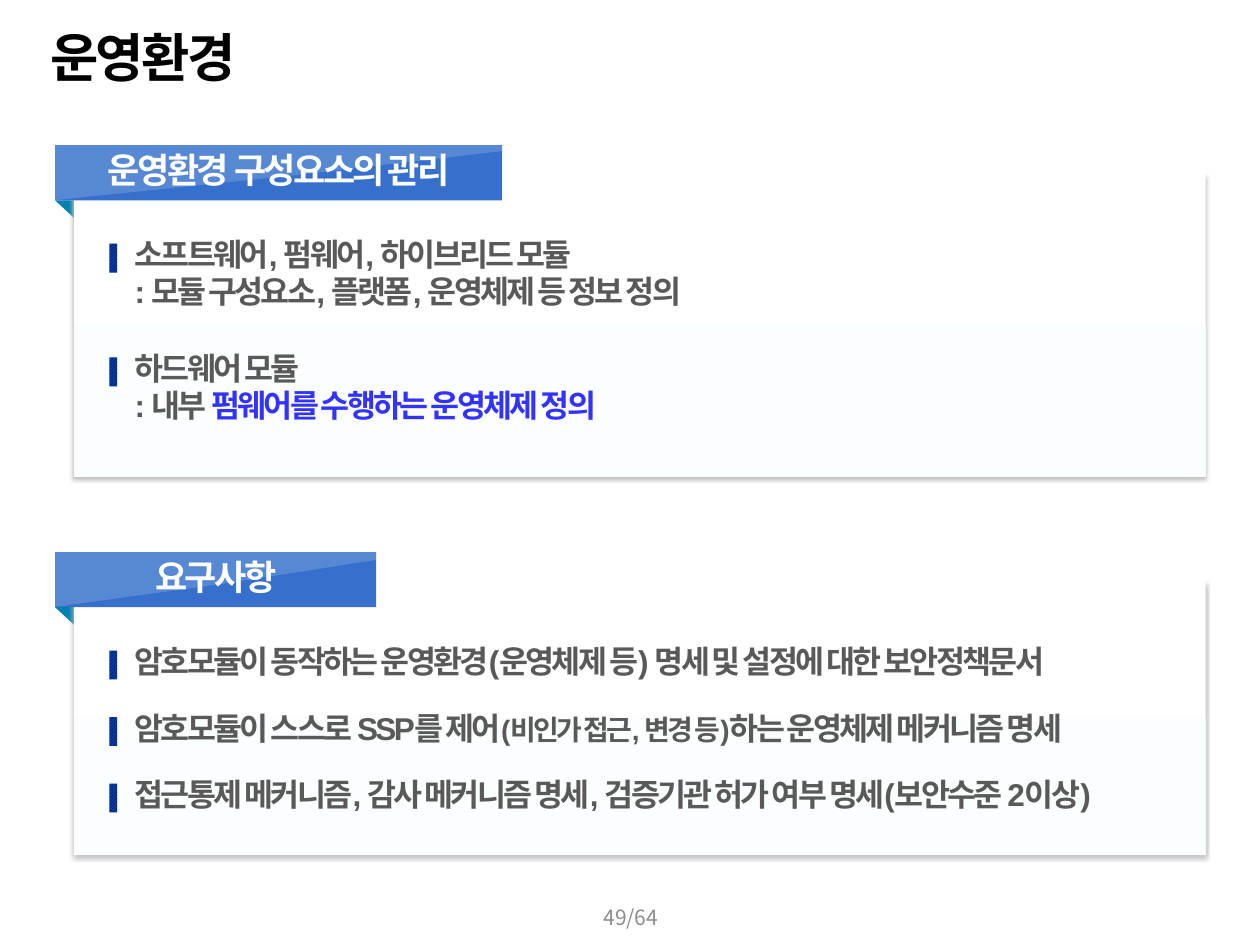
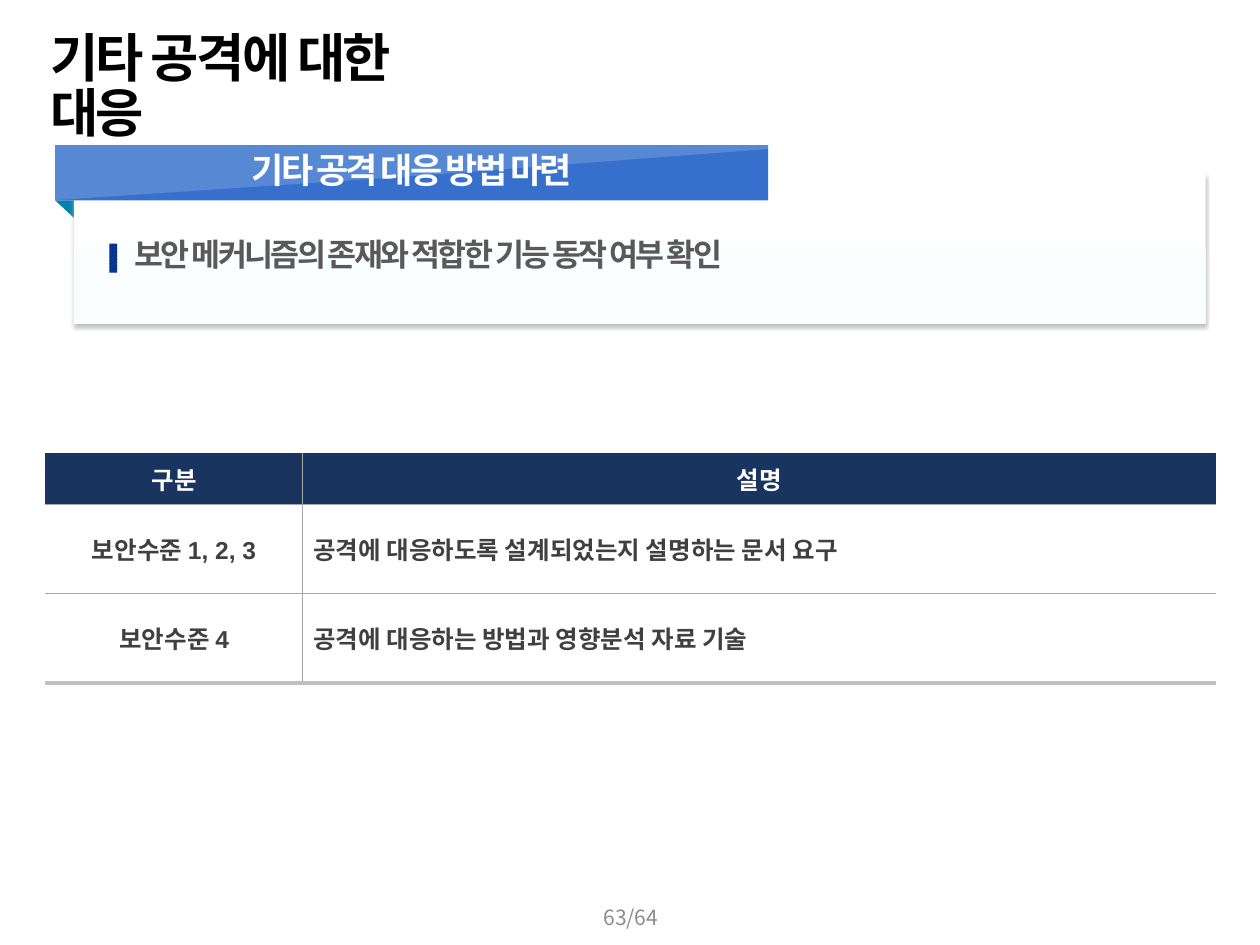
from lxml.etree import SubElement
from pptx import Presentation
from pptx.dml.color import RGBColor
from pptx.enum.dml import MSO_PATTERN
from pptx.enum.shapes import MSO_SHAPE as Shape
from pptx.enum.text import MSO_ANCHOR as Anchor, PP_ALIGN as Align
from pptx.oxml.ns import qn
from pptx.util import Pt

WHITE = RGBColor(0xFF, 0xFF, 0xFF)
BLACK = RGBColor(0x00, 0x00, 0x00)
CARD_TINT = RGBColor(0xFB, 0xFE, 0xFF)
BAND_BLUE = RGBColor(0x36, 0x70, 0xCC)
FOLD_TEAL = RGBColor(0x00, 0x82, 0xB0)
MARKER_LIGHT = RGBColor(0x2E, 0x64, 0xB4)
MARKER_DARK = RGBColor(0x00, 0x2D, 0x89)
BODY_GRAY = RGBColor(0x59, 0x59, 0x59)
EMPHASIS_BLUE = RGBColor(0x33, 0x33, 0xFF)
PAGE_GRAY = RGBColor(0x8C, 0x8C, 0x8C)
TABLE_NAVY = RGBColor(0x19, 0x34, 0x5F)
TABLE_TEXT = RGBColor(0x40, 0x40, 0x40)
RULE_GRAY = RGBColor(0xA6, 0xA6, 0xA6)
SHADOW_GRAY = RGBColor(0xBF, 0xBF, 0xBF)

LATIN = "Arial"
KOREAN = "Noto Sans CJK KR"
LINE_SPACING = 0.87

# A run is (text, changes to the style); a bullet is a list of paragraphs of runs.
SLIDES = [
    {
        "title": "운영환경",
        "page": "49/64",
        "sections": [
            {
                "heading": [("운영환경 ", {}), ("구성요소의 관리", {"font": KOREAN})],
                "top": 83, "band_width": 255.5, "card_height": 173.5, "pitch": 65,
                "bullets": [
                    [[("소프트웨어, 펌웨어, 하이브리드 모듈", {})],
                     [(": 모듈 구성요소, 플랫폼, 운영체제 등 정보 정의", {})]],
                    [[("하드웨어 모듈", {})],
                     [(": 내부 ", {}),
                      ("펌웨어를 수행하는 운영체제 정의", {"color": EMPHASIS_BLUE})]],
                ],
            },
            {
                "heading": [("요구사항", {})],
                "top": 315.5, "band_width": 183.5, "card_height": 157, "pitch": 38,
                "bullets": [
                    [[("암호모듈이 동작하는 운영환경(운영체제 등) 명세 및 설정에 대한 보안정책문서", {})]],
                    [[("암호모듈이 스스로 SSP를 제어", {}),
                      ("(비인가 접근, 변경 등)", {"size": 16}),
                      ("하는 운영체제 메커니즘 명세", {})]],
                    [[("접근통제 메커니즘, 감사 메커니즘 명세, 검증기관 허가 여부 명세(보안수준 2이상)", {})]],
                ],
            },
        ],
    },
    {
        "title": "기타 공격에 대한 대응",
        "page": "63/64",
        "sections": [
            {
                "heading": [("기타 공격 대응 방법 마련", {})],
                "top": 83, "band_width": 407.5, "card_height": 86, "pitch": 38,
                "bullets": [
                    [[("보안 메커니즘의 존재와 적합한 기능 동작 여부 확인", {"font": KOREAN})]],
                ],
            },
        ],
        "table": [
            ("구분", "설명"),
            ("보안수준 1, 2, 3", "공격에 대응하도록 설계되었는지 설명하는 문서 요구"),
            ("보안수준 4", "공격에 대응하는 방법과 영향분석 자료 기술"),
        ],
    },
]

TITLE_STYLE = {"size": 30, "color": BLACK, "bold": True, "spacing": -150}
HEADING_STYLE = {"size": 20, "color": WHITE, "bold": True, "spacing": -150}
BODY_STYLE = {"size": 18, "color": BODY_GRAY, "bold": True, "spacing": -150}
PAGE_STYLE = {"size": 12, "color": PAGE_GRAY, "font": KOREAN}
HEADER_STYLE = {"size": 14, "color": WHITE, "bold": True, "font": KOREAN}
CELL_STYLE = {"size": 14, "color": TABLE_TEXT, "bold": True}

BAND_LEFT, BAND_HEIGHT = 31.5, 31.5
CARD_LEFT, CARD_WIDTH, CARD_DROP = 42, 647, 16
BULLET_LEFT, BULLET_WIDTH, BULLET_DROP = 62.5, 626, 54.5
COLUMN_WIDTHS = (147, 522)
ROW_HEIGHTS = (29.5, 51, 51)


def box(*lengths):
    return [Pt(length) for length in lengths]


def add_run(paragraph, text, size, color, bold=False, font=LATIN, spacing=0):
    run = paragraph.add_run()
    run.text = text
    run.font.size = Pt(size)
    run.font.bold = bold
    run.font.color.rgb = color
    run.font.name = font
    properties = run.font._element
    SubElement(properties, qn("a:ea")).set("typeface", KOREAN)
    if spacing:
        properties.set("spc", str(spacing))


def add_text(slide, place, paragraphs, style, margins=(0, 0, 0, 0),
             align=Align.LEFT, anchor=Anchor.TOP, wrap=True):
    frame = slide.shapes.add_textbox(*box(*place)).text_frame
    frame.word_wrap = wrap
    frame.vertical_anchor = anchor
    (frame.margin_left, frame.margin_top,
     frame.margin_right, frame.margin_bottom) = box(*margins)
    for index, runs in enumerate(paragraphs):
        paragraph = frame.add_paragraph() if index else frame.paragraphs[0]
        paragraph.alignment = align
        paragraph.line_spacing = LINE_SPACING
        if index:
            paragraph.space_before = Pt(2)
        for text, changes in runs:
            add_run(paragraph, text, **{**style, **changes})


def add_plain_shape(slide, kind, place, color=None):
    """Add a preset shape without line or shadow."""
    shape = slide.shapes.add_shape(kind, *box(*place))
    shape.shadow.inherit = False
    shape.line.fill.background()
    if color is not None:
        shape.fill.solid()
        shape.fill.fore_color.rgb = color
    return shape


def add_card(slide, top, height):
    card = add_plain_shape(slide, Shape.RECTANGLE, (CARD_LEFT, top, CARD_WIDTH, height))
    card.fill.gradient()
    card.fill.gradient_angle = 270
    for stop, color in zip(card.fill.gradient_stops, (WHITE, CARD_TINT)):
        stop.color.rgb = color
    effects = card._element.spPr.find(qn("a:effectLst"))
    shadow = SubElement(effects, qn("a:outerShdw"), blurRad=str(Pt(2)),
                        dist=str(Pt(2)), dir="5400000", algn="t", rotWithShape="0")
    SubElement(shadow, qn("a:srgbClr"), val=str(SHADOW_GRAY))


def add_gloss(slide, top, band_width):
    """Lay a translucent white wedge over the upper left of a band."""
    left, width = BAND_LEFT - 1.5, band_width + 30
    corners = [(width, 0), (width * 0.46, 18), (0, BAND_HEIGHT)]
    builder = slide.shapes.build_freeform(Pt(left), Pt(top), scale=1.0)
    builder.add_line_segments([box(left + x, top + y) for x, y in corners], close=True)
    gloss = builder.convert_to_shape()
    gloss.shadow.inherit = False
    gloss.line.fill.background()
    gloss.fill.solid()
    gloss.fill.fore_color.rgb = WHITE
    color = gloss._element.spPr.find(qn("a:solidFill"))[0]
    SubElement(color, qn("a:alpha"), val="17000")


def add_bullet(slide, top, paragraphs):
    height = 24 * len(paragraphs) - 2
    add_text(slide, (BULLET_LEFT, top, BULLET_WIDTH, height), paragraphs, BODY_STYLE,
             margins=(14.4, 0, 3, 0))
    marker = add_plain_shape(slide, Shape.RECTANGLE, (BULLET_LEFT, top + 1.8, 4.5, 16.5))
    marker.fill.patterned()
    marker.fill.pattern = MSO_PATTERN.LIGHT_UPWARD_DIAGONAL
    marker.fill.fore_color.rgb = MARKER_LIGHT
    marker.fill.back_color.rgb = MARKER_DARK


def add_section(slide, heading, top, band_width, card_height, pitch, bullets):
    band = (BAND_LEFT, top, band_width, BAND_HEIGHT)
    fold = add_plain_shape(slide, Shape.RIGHT_TRIANGLE,
                           (BAND_LEFT, top + BAND_HEIGHT, 21, 19.5), FOLD_TEAL)
    fold.rotation = 180
    add_card(slide, top + CARD_DROP, card_height)
    add_plain_shape(slide, Shape.RECTANGLE, band, BAND_BLUE)
    add_gloss(slide, top, band_width)
    add_text(slide, band, [heading], HEADING_STYLE,
             align=Align.CENTER, anchor=Anchor.MIDDLE, wrap=False)
    for index, paragraphs in enumerate(bullets):
        add_bullet(slide, top + BULLET_DROP + index * pitch, paragraphs)


def set_borders(cell, borders):
    """Set the four sides; borders maps a side to (colour, width)."""
    properties = cell._tc.get_or_add_tcPr()
    for index, side in enumerate(("lnL", "lnR", "lnT", "lnB")):
        color, width = borders.get(side, (None, 0))
        line = properties.makeelement(qn("a:" + side), {"w": str(Pt(width))})
        properties.insert(index, line)
        if color is None:
            SubElement(line, qn("a:noFill"))
        else:
            fill = SubElement(line, qn("a:solidFill"))
            SubElement(fill, qn("a:srgbClr"), val=str(color))


def add_level_table(slide, rows):
    place = box(26, 258.75, sum(COLUMN_WIDTHS), sum(ROW_HEIGHTS))
    table = slide.shapes.add_table(len(rows), len(COLUMN_WIDTHS), *place).table
    table.horz_banding = False
    for column, width in zip(table.columns, COLUMN_WIDTHS):
        column.width = Pt(width)
    thin, thick = (RULE_GRAY, 0.75), (SHADOW_GRAY, 3)
    for row_index, texts in enumerate(rows):
        table.rows[row_index].height = Pt(ROW_HEIGHTS[row_index])
        is_header = row_index == 0
        for column_index, text in enumerate(texts):
            cell = table.cell(row_index, column_index)
            is_description = column_index == 1 and not is_header
            cell.fill.solid()
            cell.fill.fore_color.rgb = TABLE_NAVY if is_header else WHITE
            cell.vertical_anchor = Anchor.MIDDLE
            cell.margin_left = Pt(6 if is_description else 3)
            cell.margin_right = Pt(3)
            cell.margin_top = cell.margin_bottom = Pt(1.5)
            paragraph = cell.text_frame.paragraphs[0]
            paragraph.alignment = Align.LEFT if is_description else Align.CENTER
            add_run(paragraph, text, **(HEADER_STYLE if is_header else CELL_STYLE))
            borders = {"lnB": thick if row_index == len(rows) - 1 else thin}
            borders["lnL" if column_index else "lnR"] = thin
            if not is_header:
                borders["lnT"] = thin
            set_borders(cell, borders)


def add_slide(presentation, content):
    slide = presentation.slides.add_slide(presentation.slide_layouts[6])
    add_text(slide, (17.25, 15.75, 226, 41), [[(content["title"], {})]], TITLE_STYLE,
             margins=(11.5, 3.6, 7.2, 3.6), wrap=False)
    for section in content["sections"]:
        add_section(slide, **section)
    if "table" in content:
        add_level_table(slide, content["table"])
    add_text(slide, (279.5, 510.5, 162, 29), [[(content["page"], {})]], PAGE_STYLE,
             align=Align.CENTER, anchor=Anchor.MIDDLE)


def main():
    presentation = Presentation()
    presentation.slide_width, presentation.slide_height = box(720, 540)
    for content in SLIDES:
        add_slide(presentation, content)
    presentation.save("out.pptx")


if __name__ == "__main__":
    main()
